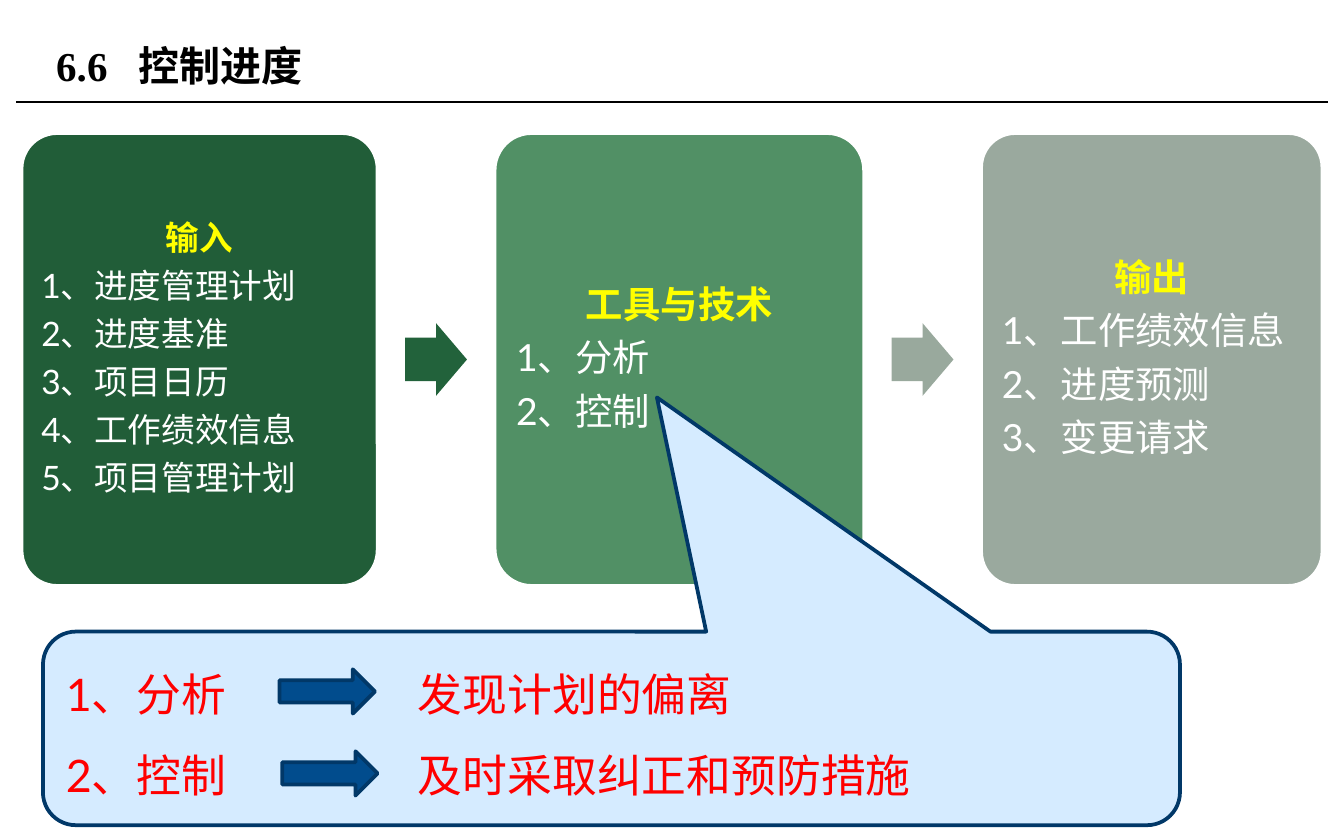
from lxml import etree
from pptx import Presentation
from pptx.dml.color import RGBColor
from pptx.enum.shapes import MSO_CONNECTOR, MSO_SHAPE
from pptx.enum.text import MSO_ANCHOR, PP_ALIGN
from pptx.oxml.ns import qn
from pptx.util import Inches, Pt

ROUNDED = MSO_SHAPE.ROUNDED_RECTANGLE
CALLOUT = MSO_SHAPE.ROUNDED_RECTANGULAR_CALLOUT
ARROW = MSO_SHAPE.RIGHT_ARROW
STRAIGHT = MSO_CONNECTOR.STRAIGHT
MIDDLE = MSO_ANCHOR.MIDDLE
LEFT, CENTER = PP_ALIGN.LEFT, PP_ALIGN.CENTER

TITLE = "6.6\t控制进度"
STAGES = [
    {"heading": "输入", "width": 2.65, "size": 18, "inset": 0.07, "fill": "215D38", "arrow": "22623B",
     "items": ["进度管理计划", "进度基准", "项目日历", "工作绩效信息", "项目管理计划"]},
    {"heading": "工具与技术", "width": 2.75, "size": 20, "inset": 0.08, "fill": "519065", "arrow": "99A99D",
     "items": ["分析", "控制"]},
    {"heading": "输出", "width": 2.54, "size": 20, "inset": 0.08, "fill": "9AA99E", "arrow": None,
     "items": ["工作绩效信息", "进度预测", "变更请求"]},
]
PURPOSES = [("分析", "发现计划的偏离"), ("控制", "及时采取纠正和预防措施")]
PURPOSE_ARROWS = [(2.08, 4.98), (2.1, 5.59)]

STAGE_LEFT, STAGE_TOP, STAGE_HEIGHT, STAGE_GAP = 0.16, 0.99, 3.37, 0.87
ARROW_WIDTH, ARROW_HEIGHT = 0.46, 0.54
SPACE_AFTER = 0.35


def color(hex_value):
    return RGBColor.from_string(hex_value)


def add_block(kind, box, fill, line=None, adjustments=()):
    block = slide.shapes.add_shape(kind, *map(Inches, box))
    block.shadow.inherit = False
    block.fill.solid()
    block.fill.fore_color.rgb = color(fill)
    if line:
        block.line.color.rgb = color(line)
        block.line.width = Pt(2)
    else:
        block.line.fill.background()
    for index, value in enumerate(adjustments):
        block.adjustments[index] = value
    return block


def set_frame(frame, inset_x, inset_y):
    frame.word_wrap = True
    frame.vertical_anchor = MIDDLE
    frame.margin_left = frame.margin_right = Inches(inset_x)
    frame.margin_top = frame.margin_bottom = Inches(inset_y)


def write(frame, lines, size, latin="Lato", east_asian="Lato", tab=None):
    for index, (text, hex_value, bold, layout) in enumerate(lines):
        paragraph = frame.paragraphs[0] if index == 0 else frame.add_paragraph()
        for name, value in layout.items():
            setattr(paragraph, name, value)
        if tab:
            tabs = etree.SubElement(paragraph._p.get_or_add_pPr(), qn("a:tabLst"))
            etree.SubElement(tabs, qn("a:tab"), pos=str(Inches(tab)), algn="l")
        run = paragraph.add_run()
        run.text = text
        for name, value in {"name": latin, "size": Pt(size), "bold": bold}.items():
            setattr(run.font, name, value)
        run.font.color.rgb = color(hex_value)
        etree.SubElement(run._r.get_or_add_rPr(), qn("a:ea"), typeface=east_asian)


prs = Presentation()
prs.slide_width, prs.slide_height = Inches(10), Inches(6.25)
slide = prs.slides.add_slide(prs.slide_layouts[6])

rule = slide.shapes.add_connector(STRAIGHT, *map(Inches, (0.12, 0.76, 9.88, 0.76)))
rule.line.color.rgb = color("000000")
rule.line.width = Pt(0.75)
etree.SubElement(rule._element.spPr, qn("a:effectLst"))

title = slide.shapes.add_textbox(*map(Inches, (0.32, 0.13, 6.38, 0.71))).text_frame
set_frame(title, 0.1, 0.05)
write(title, [(TITLE, "000000", True, {"alignment": LEFT})], 22,
      "Times New Roman", "Noto Sans CJK SC", tab=0.61)

left = STAGE_LEFT
for stage in STAGES:
    card = add_block(ROUNDED, (left, STAGE_TOP, stage["width"], STAGE_HEIGHT),
                     stage["fill"], "FFFFFF", [0.1])
    set_frame(card.text_frame, stage["inset"], stage["inset"])
    layout = {"line_spacing": 0.9, "space_after": Pt(stage["size"] * SPACE_AFTER)}
    lines = [(stage["heading"], "FFFF00", True, {**layout, "alignment": CENTER})]
    lines += [(f"{number}、{item}", "FFFFFF", False, {**layout, "alignment": LEFT})
              for number, item in enumerate(stage["items"], 1)]
    write(card.text_frame, lines, stage["size"])
    left += stage["width"] + STAGE_GAP
    if stage["arrow"]:
        add_block(ARROW, (left - (STAGE_GAP + ARROW_WIDTH) / 2,
                          STAGE_TOP + (STAGE_HEIGHT - ARROW_HEIGHT) / 2,
                          ARROW_WIDTH, ARROW_HEIGHT), stage["arrow"], adjustments=[0.6, 0.5])

callout = add_block(CALLOUT, (0.32, 4.7, 8.46, 1.44), "D5EBFF", "013868", [0.04, -1.71, 0.17])
set_frame(callout.text_frame, 0.1, 0.05)
layout = {"alignment": LEFT, "line_spacing": Pt(35), "space_after": Pt(24 * SPACE_AFTER)}
write(callout.text_frame,
      [(f"{number}、{action}\t{purpose}", "FF0000", False, layout)
       for number, (action, purpose) in enumerate(PURPOSES, 1)], 24, tab=2.62)
for x, y in PURPOSE_ARROWS:
    add_block(ARROW, (x, y, 0.71, 0.33), "014C8D", "013868")

prs.save("out.pptx")
